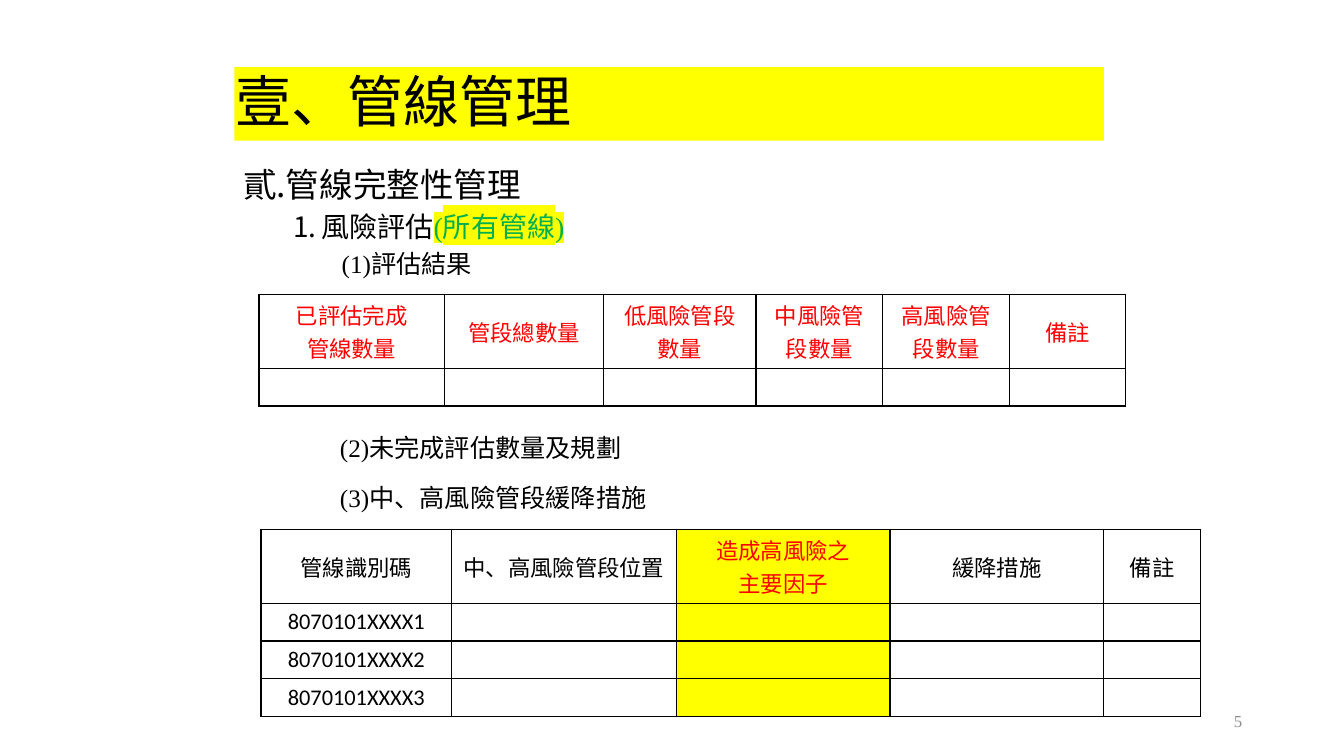
"""Build the pipeline integrity management slide."""
from lxml import etree
from pptx import Presentation
from pptx.dml.color import RGBColor
from pptx.enum import shapes, text
from pptx.oxml import ns
from pptx.util import Pt

BLACK = RGBColor(0, 0, 0)
RED = RGBColor(255, 0, 0)
GREEN = RGBColor(0, 176, 80)
YELLOW = RGBColor(255, 255, 0)
GRAY = RGBColor(140, 140, 140)
SERIF, SANS, CJK = "Times New Roman", "Calibri", "Noto Sans CJK SC"

TITLE = "壹、管線管理"
OUTLINE = [
    dict(runs=[("管線完整性管理", None)], size=24, spacing=1.2, before=0,
         margin=18, indent=-18, number=("ea1ChtPeriod", 2)),
    dict(runs=[("風險評估", None), ("(所有管線)", GREEN)], size=20, spacing=0.9,
         before=6, margin=56, indent=-20, number=("arabicPeriod", 1)),
    dict(runs=[("(1)評估結果", None)], size=18, spacing=0.9, before=6,
         margin=70.5, indent=0, number=None),
]
STEPS = ["(2)未完成評估數量及規劃", "(3)中、高風險管段緩降措施"]
PAGE_NUMBER = "5"

RESULTS = dict(
    left=185, top=210.2, widths=[132.5, 113.8, 108.7, 90.7, 90.7, 82.8],
    header=[("已評估完成\n管線數量", SERIF, RED), ("管段總數量", CJK, RED),
            ("低風險管段數量", SERIF, RED), ("中風險管段數量", SERIF, RED),
            ("高風險管段數量", SERIF, RED), ("備註", SERIF, RED)],
    names=[""], marked=None)
MEASURES = dict(
    left=186.5, top=378, widths=[136.1, 160.6, 152.6, 152.6, 69.1],
    header=[("管線識別碼", SERIF, BLACK), ("中、高風險管段位置", CJK, BLACK),
            ("造成高風險之\n主要因子", SERIF, RED), ("緩降措施", CJK, BLACK),
            ("備註", SERIF, BLACK)],
    names=["8070101XXXX1", "8070101XXXX2", "8070101XXXX3"], marked=2)
HEADER_HEIGHT, ROW_HEIGHT = 53, 26.9


def style(paragraph, size, name=SERIF, color=BLACK, align=text.PP_ALIGN.LEFT):
    paragraph.alignment = align
    paragraph.font.size = Pt(size)
    paragraph.font.name = name
    paragraph.font.color.rgb = color


def indent(paragraph, margin, first=0):
    properties = paragraph._p.get_or_add_pPr()
    properties.set("marL", str(Pt(margin)))
    properties.set("indent", str(Pt(first)))
    return properties


def add_text(slide, left, top, width, height):
    frame = slide.shapes.add_textbox(Pt(left), Pt(top), Pt(width), Pt(height)).text_frame
    frame.word_wrap = True
    return frame


def add_title(slide):
    shape = slide.shapes.add_shape(shapes.MSO_SHAPE.RECTANGLE,
                                   Pt(167.5), Pt(48), Pt(621), Pt(52.5))
    shape.shadow.inherit = False
    shape.fill.solid()
    shape.fill.fore_color.rgb = YELLOW
    shape.line.fill.background()
    frame = shape.text_frame
    frame.word_wrap = True
    frame.vertical_anchor = text.MSO_ANCHOR.MIDDLE
    frame.margin_left = frame.margin_right = frame.margin_top = frame.margin_bottom = 0
    paragraph = frame.paragraphs[0]
    paragraph.text = TITLE
    paragraph.line_spacing = 0.9
    indent(paragraph, 1)
    style(paragraph, 40)


def add_outline(slide):
    frame = add_text(slide, 166.5, 108, 646.5, 101.5)
    for index, item in enumerate(OUTLINE):
        paragraph = frame.add_paragraph() if index else frame.paragraphs[0]
        properties = indent(paragraph, item["margin"], item["indent"])
        if item["number"]:
            scheme, start = item["number"]
            etree.SubElement(properties, ns.qn("a:buAutoNum"), type=scheme, startAt=str(start))
        paragraph.line_spacing = item["spacing"]
        paragraph.space_before = Pt(item["before"])
        style(paragraph, item["size"])
        for words, color in item["runs"]:
            run = paragraph.add_run()
            run.text = words
            if color:
                run.font.color.rgb = color
                highlight = etree.SubElement(run.font._element, ns.qn("a:highlight"))
                etree.SubElement(highlight, ns.qn("a:srgbClr"), val=str(YELLOW))


def add_borders(cell):
    properties = cell._tc.get_or_add_tcPr()
    for position, side in enumerate(("lnL", "lnR", "lnT", "lnB")):
        line = etree.Element(ns.qn("a:" + side), w=str(Pt(1)))
        fill = etree.SubElement(line, ns.qn("a:solidFill"))
        etree.SubElement(fill, ns.qn("a:srgbClr"), val=str(BLACK))
        properties.insert(position, line)


def add_table(slide, data):
    widths = data["widths"]
    blanks = [("", SERIF, BLACK)] * (len(widths) - 1)
    rows = [data["header"]] + [[(name, SANS, BLACK)] + blanks for name in data["names"]]
    height = HEADER_HEIGHT + ROW_HEIGHT * len(data["names"])
    table = slide.shapes.add_table(len(rows), len(widths), Pt(data["left"]), Pt(data["top"]),
                                   Pt(sum(widths)), Pt(height)).table
    table.first_row = table.horz_banding = False
    for column, width in zip(table.columns, widths):
        column.width = Pt(width)
    for row_index, row in enumerate(rows):
        table.rows[row_index].height = Pt(ROW_HEIGHT if row_index else HEADER_HEIGHT)
        for column_index, (words, name, color) in enumerate(row):
            cell = table.cell(row_index, column_index)
            cell.margin_top = cell.margin_bottom = Pt(2)
            cell.vertical_anchor = text.MSO_ANCHOR.MIDDLE
            if column_index == data["marked"]:
                cell.fill.solid()
                cell.fill.fore_color.rgb = YELLOW
            else:
                cell.fill.background()
            add_borders(cell)
            cell.text_frame.text = words
            for paragraph in cell.text_frame.paragraphs:
                style(paragraph, 16, name, color, text.PP_ALIGN.CENTER)


def add_steps(slide):
    for index, words in enumerate(STEPS):
        paragraph = add_text(slide, 228.5, 294.5 + 36 * index, 311, 46).paragraphs[0]
        paragraph.text = words
        paragraph.line_spacing = 1.5
        indent(paragraph, 7.2)
        style(paragraph, 18)


def add_page_number(slide):
    frame = add_text(slide, 678.5, 500.5, 216, 29)
    frame.vertical_anchor = text.MSO_ANCHOR.MIDDLE
    frame.text = PAGE_NUMBER
    style(frame.paragraphs[0], 12, color=GRAY, align=text.PP_ALIGN.RIGHT)


def main():
    presentation = Presentation()
    presentation.slide_width, presentation.slide_height = Pt(960), Pt(540)
    slide = presentation.slides.add_slide(presentation.slide_layouts[6])
    add_title(slide)
    add_outline(slide)
    add_page_number(slide)
    add_table(slide, MEASURES)
    add_table(slide, RESULTS)
    add_steps(slide)
    presentation.save("out.pptx")


if __name__ == "__main__":
    main()
